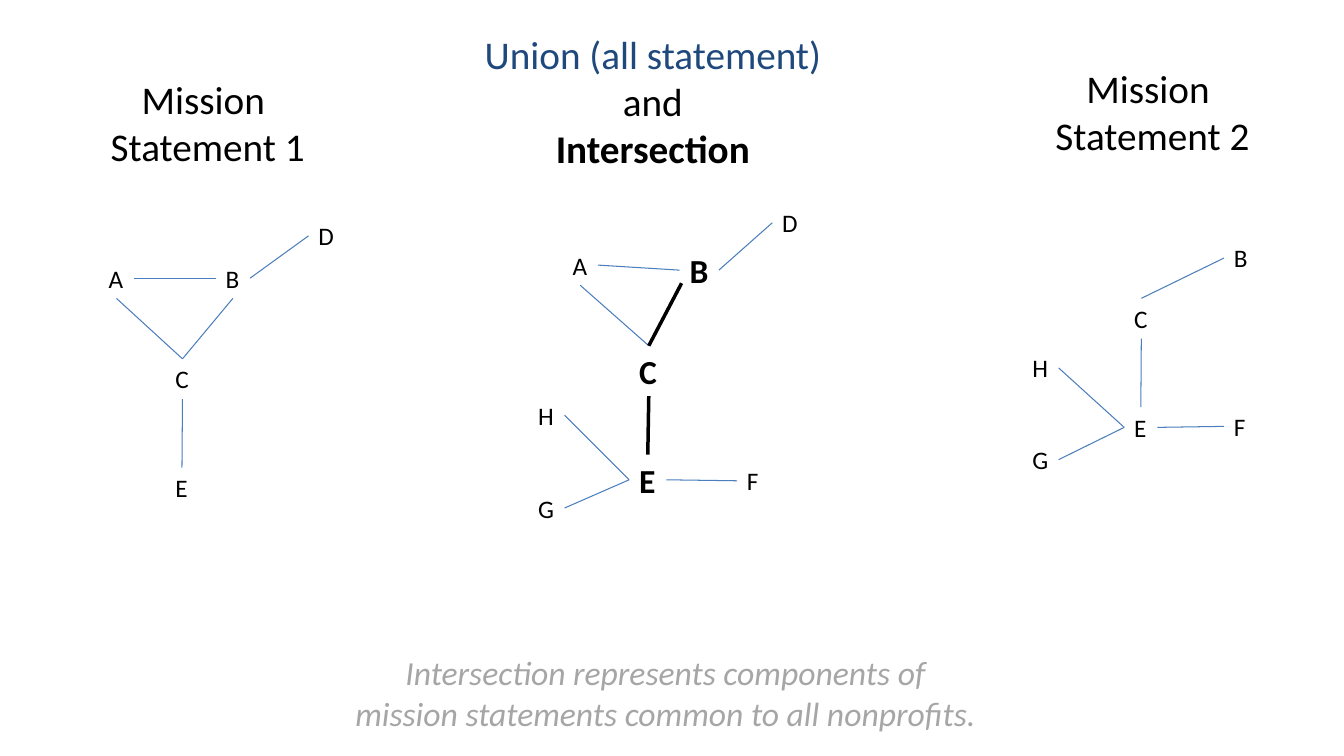
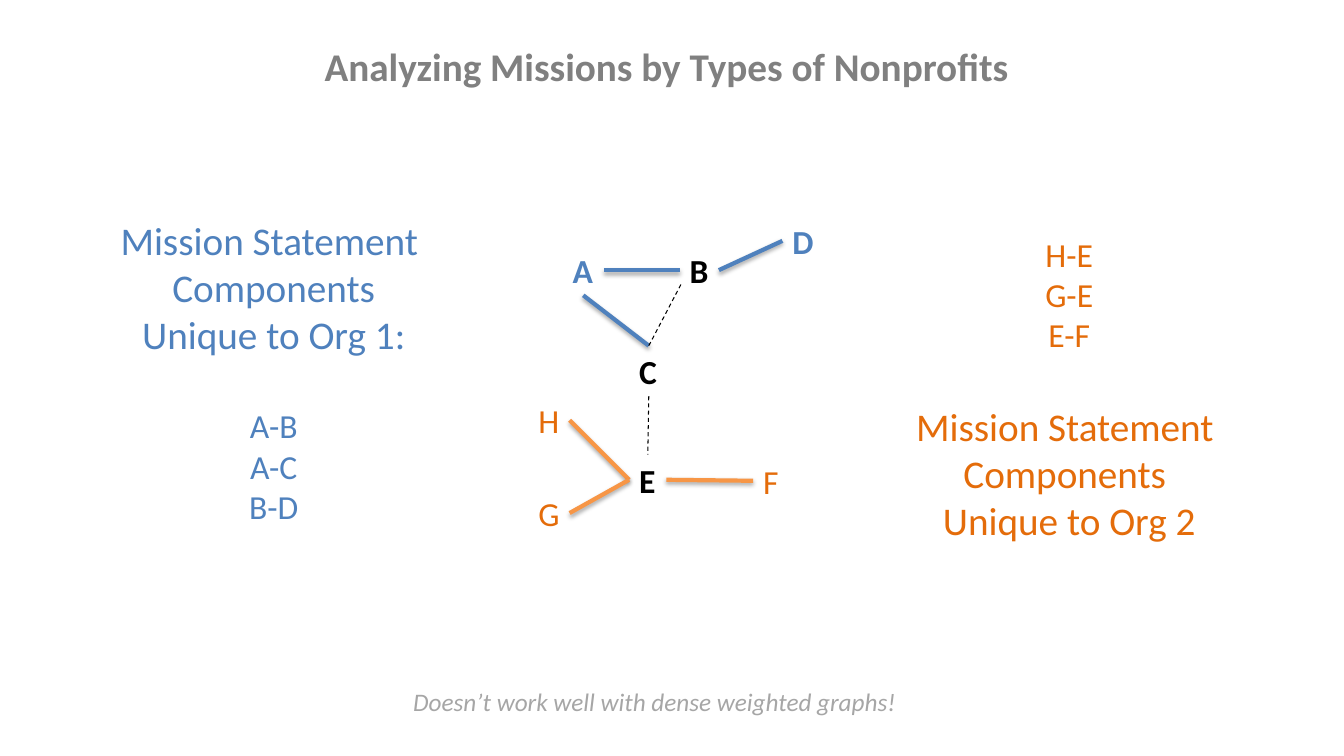
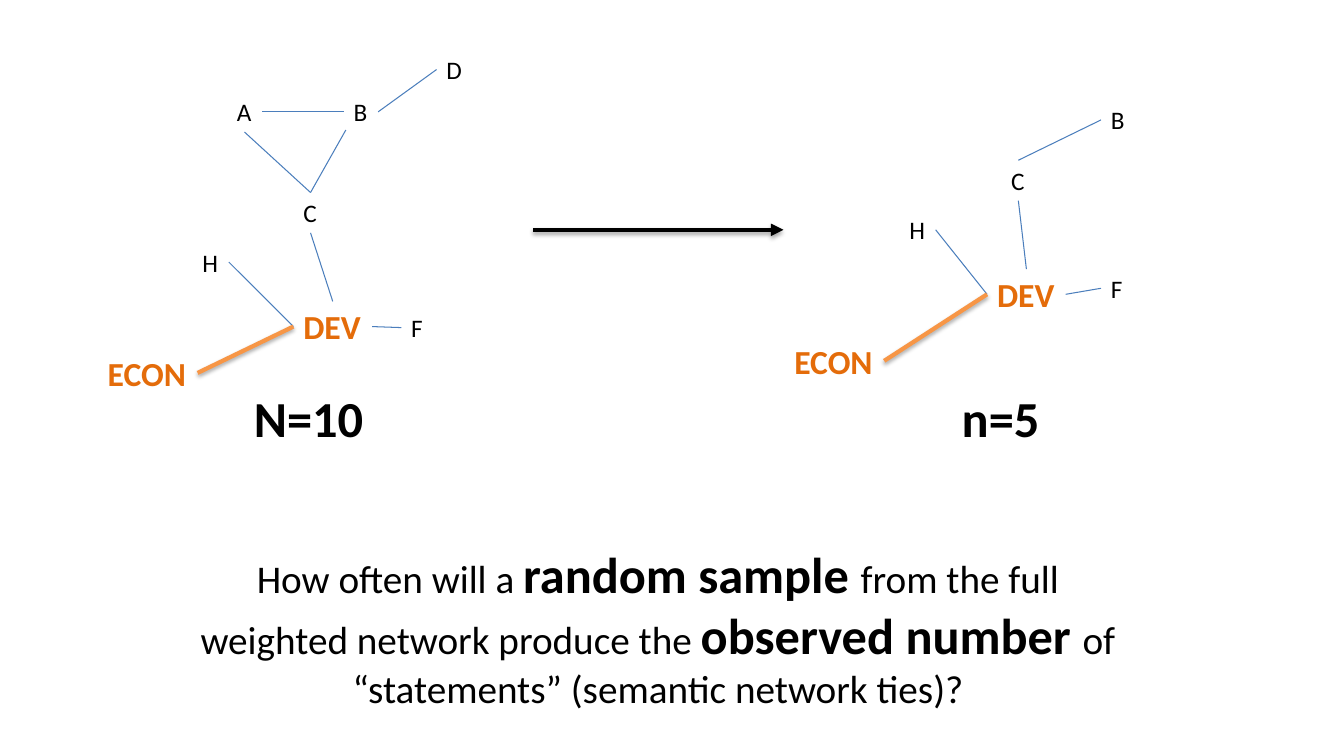
from dataclasses import dataclass

from lxml import etree
from pptx import Presentation
from pptx import util as u
from pptx.dml import color as col
from pptx.enum import dml, shapes, text as txt
from pptx.oxml import ns


# Colours and type sizes
@dataclass(frozen=True)
class Theme:
    font: str = "Calibri"
    black: str = "000000"
    navy: str = "1F497D"
    blue: str = "4F81BD"
    thin: str = "4B7EBC"
    rust: str = "E46C0A"
    orange: str = "F79646"
    grey: str = "808080"
    pale: str = "A6A6A6"
    small: int = 18
    mid: int = 24
    head: int = 28
    big: int = 36


T = Theme()


@dataclass(frozen=True)
class Look:
    size: int = T.small
    color: str = T.black
    bold: bool = False
    italic: bool = False


@dataclass(frozen=True)
class Run:
    text: str
    look: Look
    before: int = 0  # space above its paragraph, points


@dataclass(frozen=True)
class Pen:
    color: str = T.thin
    width: float = 0.75
    dash: bool = False
    shadow: bool = False
    arrow: bool = False


@dataclass(frozen=True)
class Tie:
    start: str
    out: int
    end: str
    into: int


# Sides of a node box; NEAR is a point just inside its lower left corner
TOP, LEFT, BOTTOM, RIGHT, NEAR = range(5)

PLAIN = Look()
HEAD = Look(T.head)
STRONG = Look(T.mid, bold=True)
RUST = Look(T.mid, T.rust)
BLUE = Look(T.mid, T.blue)
ACCENT = Look(T.mid, T.rust, bold=True)
HUGE = Look(T.big, bold=True)

THIN = Pen()
HEAVY = Pen(T.black, 2.5)
DASH = Pen(T.black, dash=True)
BAND1 = Pen(T.blue, 3, shadow=True)
BAND2 = Pen(T.orange, 3, shadow=True)
ARROW = Pen(T.black, 3, shadow=True, arrow=True)

# Box widths by label and type size
WIDTH = {
    T.small: dict(A=.35, B=.34, C=.34, D=.36, E=.33, F=.33, G=.36, H=.36),
    T.mid: dict(A=.41, B=.39, C=.39, D=.41, E=.37, F=.36, G=.41, H=.41,
                DEV=.78, ECON=.99),
}
HEIGHT = {T.small: .4, T.mid: .5}

# Node places and ties of the two networks
CORE = dict(A=(.98, 2.56), B=(2.14, 2.56), C=(1.64, 3.56),
            D=(3.06, 2.14), E=(1.64, 4.64))
FULL = CORE | dict(F=(2.71, 4.7), G=(.64, 4.97), H=(.64, 4.05))
PART = dict(B=(12.14, 2.36), C=(11.15, 2.96), E=(11.15, 4.04),
            F=(12.14, 4.03), G=(10.14, 4.36), H=(10.14, 3.45))

STEM = Tie("C", BOTTOM, "E", TOP)
LOOP = [Tie("A", RIGHT, "B", LEFT), Tie("A", BOTTOM, "C", TOP),
        Tie("B", RIGHT, "D", LEFT), STEM]
FAN = [Tie("E", RIGHT, "F", LEFT), Tie("H", RIGHT, "E", LEFT),
       Tie("G", RIGHT, "E", LEFT)]
CORE_TIES = LOOP + [Tie("C", TOP, "B", BOTTOM)]
FULL_TIES = LOOP + [Tie("C", TOP, "B", NEAR)] + FAN
PART_TIES = [Tie("C", TOP, "B", LEFT), STEM] + FAN


def text(slide, box, paras, *, center=True, wrap=False):
    """Add a text box; each paragraph is a list of runs."""
    shape = slide.shapes.add_textbox(*map(u.Inches, box))
    frame = shape.text_frame
    frame.word_wrap = wrap
    frame.auto_size = txt.MSO_AUTO_SIZE.SHAPE_TO_FIT_TEXT
    for i, runs in enumerate(paras):
        para = frame.add_paragraph() if i else frame.paragraphs[0]
        para.alignment = txt.PP_ALIGN.CENTER if center else txt.PP_ALIGN.LEFT
        if runs[0].before:
            para.space_before = u.Pt(runs[0].before)
        for part in runs:
            run = para.add_run()
            run.text = part.text
            font, look = run.font, part.look
            font.name, font.size = T.font, u.Pt(look.size)
            font.bold, font.italic = look.bold, look.italic
            font.color.rgb = col.RGBColor.from_string(look.color)
    return shape


def rows(look: Look, *lines: str, before: int = 0) -> list[list[Run]]:
    """Paragraphs of one look, with space above the first."""
    return [[Run(line, look, 0 if i else before)]
            for i, line in enumerate(lines)]


def line(slide, start, end, pen: Pen):
    """Add a straight line between two points given in EMU."""
    link = slide.shapes.add_connector(shapes.MSO_CONNECTOR.STRAIGHT,
                                      *start, *end)
    link.line.color.rgb = col.RGBColor.from_string(pen.color)
    link.line.width = u.Pt(pen.width)
    if pen.dash:
        link.line.dash_style = dml.MSO_LINE.DASH
    props = link._element.spPr
    if pen.arrow:
        etree.SubElement(props.find(ns.qn("a:ln")), ns.qn("a:tailEnd"),
                         type="triangle")
    fx = etree.SubElement(props, ns.qn("a:effectLst"))
    if pen.shadow:
        cast = etree.SubElement(fx, ns.qn("a:outerShdw"), blurRad="40000",
                                dist="23000", dir="5400000", rotWithShape="0")
        tone = etree.SubElement(cast, ns.qn("a:srgbClr"), val=T.black)
        etree.SubElement(tone, ns.qn("a:alpha"), val="35000")
    return link


def graph(slide, spots: dict, ties: list[Tie], shift=(0, 0), *,
          looks=None, pens=None, names=None) -> None:
    """Draw a network; looks go by node, pens by node pair."""
    looks, pens, names = looks or {}, pens or {}, names or {}
    nodes = {}
    for key, (x, y) in spots.items():
        look, name = looks.get(key, PLAIN), names.get(key, key)
        box = (x + shift[0], y + shift[1],
               WIDTH[look.size][name], HEIGHT[look.size])
        nodes[key] = text(slide, box, rows(look, name), center=False)
    for tie in ties:
        head, tail = nodes[tie.start], nodes[tie.end]
        corner = tail.left + u.Inches(.02), tail.top + u.Inches(.38)
        link = line(slide, (head.left, head.top), corner,
                    pens.get(tie.start + tie.end, THIN))
        link.begin_connect(head, tie.out)
        if tie.into != NEAR:
            link.end_connect(tail, tie.into)


def union(slide) -> None:
    graph(slide, CORE, CORE_TIES)
    graph(slide, FULL, FULL_TIES, (4.6, -.13),
          looks=dict.fromkeys("BCE", STRONG),
          pens=dict(CB=HEAVY, CE=HEAVY))
    graph(slide, PART, PART_TIES)
    # Headings
    for box, number in (((.97, .7, 2.18, 1.04), 1),
                        ((10.35, .59, 2.16, 1.04), 2)):
        text(slide, box, rows(HEAD, "Mission ", f"Statement {number}"))
    text(slide, (4.69, .25, 3.57, 1.51),
         rows(Look(T.head, T.navy), "Union (all statement)")
         + rows(HEAD, "and")
         + rows(Look(T.head, bold=True), "Intersection"))
    # Remark
    text(slide, (3.38, 6.42, 6.44, .91),
         rows(Look(T.mid, T.pale, italic=True),
              "Intersection represents components of mission statements "
              "common to all nonprofits."), wrap=True)


def types(slide) -> None:
    graph(slide, FULL | dict(D=(3.16, 2.27), F=(2.87, 4.65)), FULL_TIES,
          (4.6, -.13),
          looks=dict.fromkeys("BCE", STRONG) | dict.fromkeys("FGH", RUST)
          | dict.fromkeys("AD", Look(T.mid, T.blue, bold=True)),
          pens=dict.fromkeys(("AB", "AC", "BD"), BAND1)
          | dict.fromkeys(("EF", "HE", "GE"), BAND2)
          | dict.fromkeys(("CB", "CE"), DASH))
    # Unique parts of each group
    gap = 34
    text(slide, (1.08, 2.1, 3.27, 3.2),
         rows(Look(T.head, T.blue),
              "Mission Statement ", "Components", "Unique to Org 1:")
         + rows(BLUE, "A-B", "A-C", "B-D", before=gap))
    text(slide, (8.97, 2.27, 3.27, 3.2),
         rows(RUST, "H-E", "G-E", "E-F")
         + rows(Look(T.head, T.rust), "Mission Statement ", "Components ",
                "Unique to Org 2", before=gap))
    # Title and remark
    text(slide, (3.08, .37, 7.06, .57),
         rows(Look(T.head, T.grey, bold=True),
              "Analyzing Missions by Types of Nonprofits"))
    text(slide, (4, 6.76, 5.04, .4),
         rows(Look(T.small, T.pale, italic=True),
              "Doesn’t work well with dense weighted graphs!"), center=False)


def sample(slide) -> None:
    style = dict(looks=dict(E=ACCENT, G=ACCENT), pens=dict(GE=BAND2),
                 names=dict(E="DEV", G="ECON"))
    graph(slide, PART | dict(E=(11.01, 4.04), G=(9, 4.7)), PART_TIES,
          (-1.22, -1.37), **style)
    graph(slide, FULL | dict(G=(-.3, 5.1)), FULL_TIES, (1.27, -1.65), **style)
    line(slide, (u.Inches(5.29), u.Inches(2.28)),
         (u.Inches(7.77), u.Inches(2.28)), ARROW)
    # Sizes and question
    for x, wide, label in ((2.42, 1.3, "N=10"), (9.44, .98, "n=5")):
        text(slide, (x, 3.79, wide, .71), rows(HUGE, label), center=False)
    text(slide, (1.74, 5.34, 9.57, 1.78), [[
        Run("How often will a ", HEAD),
        Run("random sample ", HUGE),
        Run("from the full weighted network produce the ", HEAD),
        Run("observed number ", HUGE),
        Run("of “statements” (semantic network ties)?", HEAD),
    ]], wrap=True)


def main() -> None:
    deck = Presentation()
    deck.slide_width, deck.slide_height = u.Inches(13.33), u.Inches(7.5)
    for draw in (union, types, sample):
        draw(deck.slides.add_slide(deck.slide_layouts[6]))
    deck.save("out.pptx")


if __name__ == "__main__":
    main()
